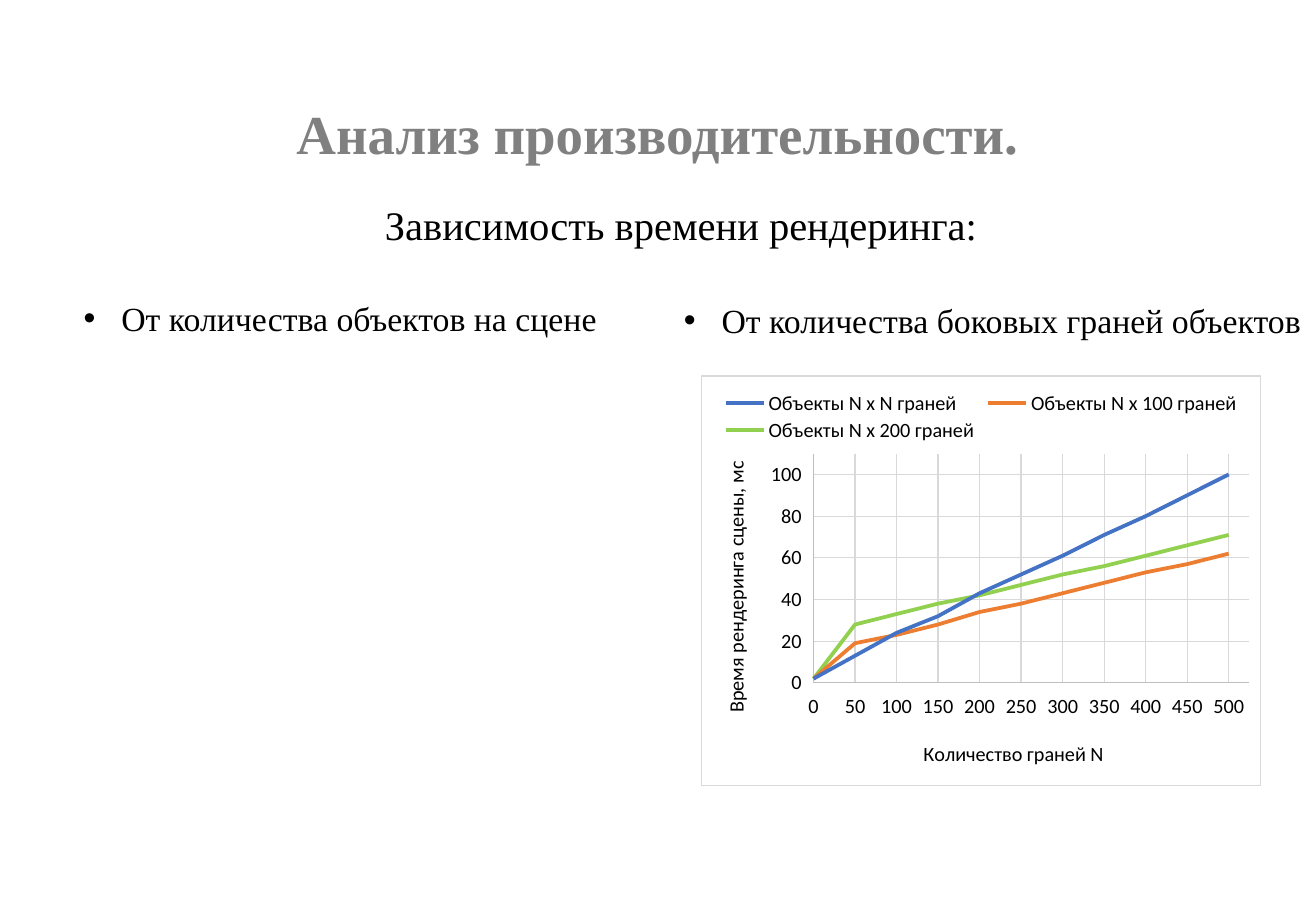
import dataclasses

import lxml.etree
import pptx
import pptx.chart.data
import pptx.dml.color
import pptx.enum.chart
import pptx.enum.text
import pptx.oxml
import pptx.oxml.ns
import pptx.util

EMU_PER_PX = 9144


@dataclasses.dataclass(frozen=True)
class Theme:
    """Colours, fonts and type sizes of the slide."""
    title: str = "808080"
    text: str = "000000"
    background: str = "FFFFFF"
    grid: str = "D9D9D9"
    axis: str = "BFBFBF"
    series: tuple = ("4472C4", "ED7D31", "92D050")
    text_font: str = "Times New Roman"
    chart_font: str = "Calibri"
    title_size: float = 32.5
    heading_size: float = 24
    bullet_size: float = 20
    chart_size: float = 12
    thin: float = 0.75
    thick: float = 2.25


THEME = Theme()

FACE_COUNTS = range(0, 501, 50)
RENDER_TIMES = {
    "Объекты N x N граней": (2, 13, 24, 32, 43, 52, 61, 71, 80, 90, 100),
    "Объекты N x 100 граней": (2, 19, 23, 28, 34, 38, 43, 48, 53, 57, 62),
    "Объекты N x 200 граней": (2, 28, 33, 38, 42, 47, 52, 56, 61, 66, 71),
}


def scaled(box):
    """Turn px lengths into EMU."""
    return [pptx.util.Emu(length * EMU_PER_PX) for length in box]


def set_font(font, name, size, color, bold=False):
    """Format a font."""
    font.name = name
    font.size = pptx.util.Pt(size)
    font.bold = bold
    font.color.rgb = pptx.dml.color.RGBColor.from_string(color)


def set_line(line, color, width):
    """Format a line."""
    line.color.rgb = pptx.dml.color.RGBColor.from_string(color)
    line.width = pptx.util.Pt(width)


def add_title(slide, box, text):
    """Place and format the title placeholder."""
    title = slide.shapes.title
    title.left, title.top, title.width, title.height = scaled(box)
    frame = title.text_frame
    frame.vertical_anchor = pptx.enum.text.MSO_ANCHOR.MIDDLE
    paragraph = frame.paragraphs[0]
    paragraph.alignment = pptx.enum.text.PP_ALIGN.CENTER
    paragraph.line_spacing = 0.9
    run = paragraph.add_run()
    run.text = text
    set_font(run.font, THEME.text_font, THEME.title_size, THEME.title, True)


def add_text(slide, box, text, size, bullet_indent=0):
    """Add a one-line text box, with a bullet if it has an indent."""
    frame = slide.shapes.add_textbox(*scaled(box)).text_frame
    frame.word_wrap = False
    frame.auto_size = pptx.enum.text.MSO_AUTO_SIZE.SHAPE_TO_FIT_TEXT
    paragraph = frame.paragraphs[0]
    if bullet_indent:
        properties = paragraph._p.get_or_add_pPr()
        properties.set("marL", str(bullet_indent * EMU_PER_PX))
        properties.set("indent", str(-bullet_indent * EMU_PER_PX))
        for tag, attribute, value in (("a:buFont", "typeface", "Arial"), ("a:buChar", "char", "•")):
            lxml.etree.SubElement(properties, pptx.oxml.ns.qn(tag)).set(attribute, value)
    run = paragraph.add_run()
    run.text = text
    set_font(run.font, THEME.text_font, size, THEME.text)


def set_layout(element, inner=False, **fractions):
    """Give a chart part a fixed place, in fractions of the chart."""
    for layout in element.findall(pptx.oxml.ns.qn("c:layout")):
        element.remove(layout)
    settings = {"layoutTarget": "inner"} if inner else {}
    settings.update({f"{key}Mode": "edge" for key in "xy"}, **fractions)
    children = "".join(f'<c:{key} val="{value}"/>' for key, value in settings.items())
    layout = pptx.oxml.parse_xml(
        f'<c:layout {pptx.oxml.ns.nsdecls("c")}><c:manualLayout>{children}</c:manualLayout></c:layout>')
    overlay = element.find(pptx.oxml.ns.qn("c:overlay"))
    if overlay is None:
        element.insert(0, layout)
    else:
        overlay.addprevious(layout)


def set_chart_area(chart):
    """Fill and outline the chart area."""
    width = pptx.util.Pt(THEME.thin)
    area = pptx.oxml.parse_xml(
        f'<c:spPr {pptx.oxml.ns.nsdecls("c", "a")}>'
        f'<a:solidFill><a:srgbClr val="{THEME.background}"/></a:solidFill>'
        f'<a:ln w="{width}"><a:solidFill><a:srgbClr val="{THEME.grid}"/></a:solidFill></a:ln></c:spPr>')
    chart.element.xpath("c:chart")[0].addnext(area)


def format_axis(axis, title, maximum, step):
    """Format an axis, its grid and its title."""
    axis.minimum_scale, axis.maximum_scale, axis.major_unit = 0, maximum, step
    axis.major_tick_mark = axis.minor_tick_mark = pptx.enum.chart.XL_TICK_MARK.NONE
    axis.tick_label_position = pptx.enum.chart.XL_TICK_LABEL_POSITION.LOW
    axis.tick_labels.number_format = "General"
    axis.tick_labels.number_format_is_linked = False
    set_font(axis.tick_labels.font, THEME.chart_font, THEME.chart_size, THEME.text)
    set_line(axis.format.line, THEME.axis, THEME.thin)
    axis.has_major_gridlines = True
    set_line(axis.major_gridlines.format.line, THEME.grid, THEME.thin)
    run = axis.axis_title.text_frame.paragraphs[0].add_run()
    run.text = title
    set_font(run.font, THEME.chart_font, THEME.chart_size, THEME.text)


def add_render_chart(slide, box):
    """Add the chart of render time against face count."""
    data = pptx.chart.data.XyChartData()
    for name, times in RENDER_TIMES.items():
        series = data.add_series(name)
        for count, time in zip(FACE_COUNTS, times):
            series.add_data_point(count, time)
    kind = pptx.enum.chart.XL_CHART_TYPE.XY_SCATTER_SMOOTH_NO_MARKERS
    chart = slide.shapes.add_chart(kind, *scaled(box), data).chart
    chart.has_title = False
    set_font(chart.font, THEME.chart_font, THEME.chart_size, THEME.text)
    set_chart_area(chart)
    chart.plots[0].vary_by_categories = False
    for series, color in zip(chart.plots[0].series, THEME.series):
        series.smooth = True
        set_line(series.format.line, color, THEME.thick)
    format_axis(chart.category_axis, "Количество граней N", 525, 50)
    format_axis(chart.value_axis, "Время рендеринга сцены, мс", 110, 20)
    chart.has_legend = True
    chart.legend.position = pptx.enum.chart.XL_LEGEND_POSITION.TOP
    chart.legend.include_in_layout = False
    set_font(chart.legend.font, THEME.chart_font, THEME.chart_size, THEME.text)
    count_title, time_title = chart.element.xpath(".//c:valAx/c:title")
    time_title.xpath(".//a:bodyPr")[0].set("rot", "-5400000")
    set_layout(count_title, x=0.39, y=0.88)
    set_layout(time_title, x=0.03, y=0.2)
    set_layout(chart.element.xpath(".//c:legend")[0], x=0.03, y=0.03, w=0.94, h=0.14)
    set_layout(chart.element.xpath(".//c:plotArea")[0], True, x=0.2, y=0.19, w=0.78, h=0.56)


def build_performance_slide(presentation, box):
    """Build the performance slide inside the given box."""
    left, top, width, height = box
    slide = presentation.slides.add_slide(presentation.slide_layouts[5])
    add_title(slide, (left + 74, top + 40, width - 149, 145), "Анализ производительности.")
    add_render_chart(slide, (left + 577, top + 309, 461, height - 412))
    add_text(slide, (left + 307, top + 160, 513, 50),
             "Зависимость времени рендеринга:", THEME.heading_size)
    add_text(slide, (left + 59, top + 240, 447, 44),
             "От количества объектов на сцене", THEME.bullet_size, 31)
    add_text(slide, (left + 553, top + 242, 533, 44),
             "От количества боковых граней объектов", THEME.bullet_size, 31)


def main():
    """Create and save the presentation."""
    presentation = pptx.Presentation()
    page = (0, 0, 1083, 750)
    presentation.slide_width, presentation.slide_height = scaled(page[2:])
    build_performance_slide(presentation, page)
    presentation.save("out.pptx")


if __name__ == "__main__":
    main()
